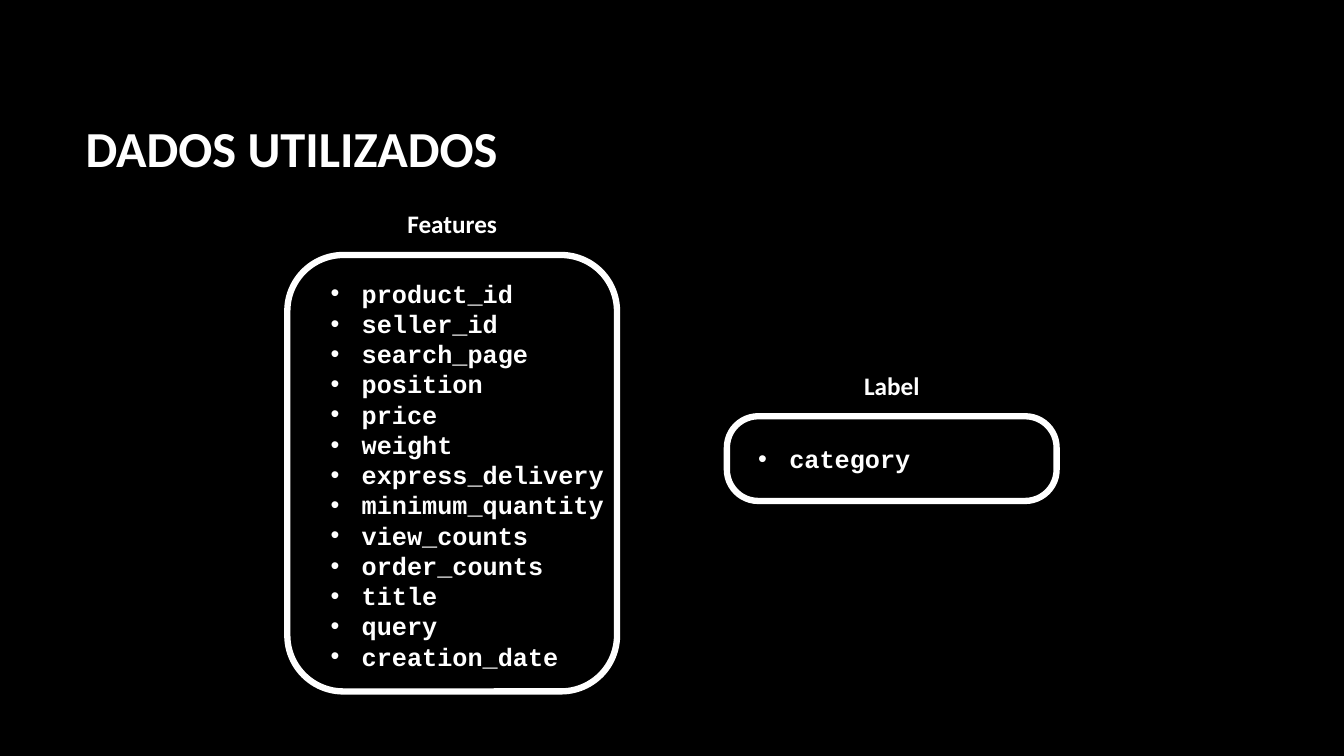
import pptx
import pptx.dml.color
import pptx.enum.shapes
import pptx.enum.text
import pptx.oxml
import pptx.oxml.ns
import pptx.util

Inches = pptx.util.Inches
COLORS = {"background": "000000", "foreground": "FFFFFF"}
FEATURES = [
    "product_id", "seller_id", "search_page", "position", "price", "weight",
    "express_delivery", "minimum_quantity", "view_counts", "order_counts",
    "title", "query", "creation_date",
]


def color(name):
    """Return the named palette colour."""
    return pptx.dml.color.RGBColor.from_string(COLORS[name])


def add_bullet(paragraph):
    """Give a paragraph a round bullet with a hanging indent."""
    properties = paragraph._p.get_or_add_pPr()
    properties.set("marL", str(Inches(0.31)))
    properties.set("indent", str(-Inches(0.31)))
    namespace = pptx.oxml.ns.nsdecls("a")
    for markup in ('buFont {} typeface="Arial"', 'buChar {} char="•"'):
        properties.append(pptx.oxml.parse_xml(f"<a:{markup.format(namespace)}/>"))


def add_text(slide, lines, left, top, width, height, size=18, font="Calibri",
             bulleted=False, wrap=True, align="LEFT", anchor="TOP"):
    """Add a bold text box with one paragraph for each line."""
    shape = slide.shapes.add_textbox(
        Inches(left), Inches(top), Inches(width), Inches(height))
    frame = shape.text_frame
    frame.word_wrap = wrap
    frame.vertical_anchor = getattr(pptx.enum.text.MSO_ANCHOR, anchor)
    frame.text = "\n".join(lines)
    for paragraph in frame.paragraphs:
        paragraph.alignment = getattr(pptx.enum.text.PP_ALIGN, align)
        if bulleted:
            add_bullet(paragraph)
        for run in paragraph.runs:
            run.font.name = font
            run.font.size = pptx.util.Pt(size)
            run.font.bold = True
            run.font.color.rgb = color("foreground")


def add_panel(slide, heading, items, left, top, width, height,
              heading_width, heading_rise, list_offset, list_size, rounding):
    """Draw a rounded outline with a centred heading above and a list inside."""
    outline = slide.shapes.add_shape(
        pptx.enum.shapes.MSO_SHAPE.ROUNDED_RECTANGLE,
        Inches(left), Inches(top), Inches(width), Inches(height))
    outline.adjustments[0] = rounding
    outline.shadow.inherit = False
    outline.fill.background()
    outline.line.color.rgb = color("foreground")
    outline.line.width = pptx.util.Pt(4.5)
    add_text(slide, items, left + list_offset[0], top + list_offset[1],
             *list_size, font="Courier New", bulleted=True)
    add_text(slide, [heading], left + (width - heading_width) / 2,
             top - heading_rise, heading_width, 0.4, wrap=False, align="CENTER")


def build_data_slide(presentation):
    """Build the slide that lists the features and the label."""
    slide = presentation.slides.add_slide(presentation.slide_layouts[6])
    slide.background.fill.solid()
    slide.background.fill.fore_color.rgb = color("background")
    add_text(slide, ["DADOS UTILIZADOS"], 0.75, 0.67, 11.08, 1.59,
             size=36, anchor="MIDDLE")
    add_panel(slide, "Features", FEATURES, 2.85, 2.53, 3.27, 4.33,
              heading_width=1.11, heading_rise=0.51, list_offset=(0.33, 0.18),
              list_size=(2.94, 4.04), rounding=0.17)
    add_panel(slide, "Label", ["category"], 7.21, 4.13, 3.27, 0.84,
              heading_width=0.78, heading_rise=0.51, list_offset=(0.21, 0.22),
              list_size=(2.02, 0.4), rounding=0.37)


def main():
    """Create and save the presentation."""
    presentation = pptx.Presentation()
    presentation.slide_width = Inches(13.33)
    presentation.slide_height = Inches(7.5)
    build_data_slide(presentation)
    presentation.save("out.pptx")


if __name__ == "__main__":
    main()
